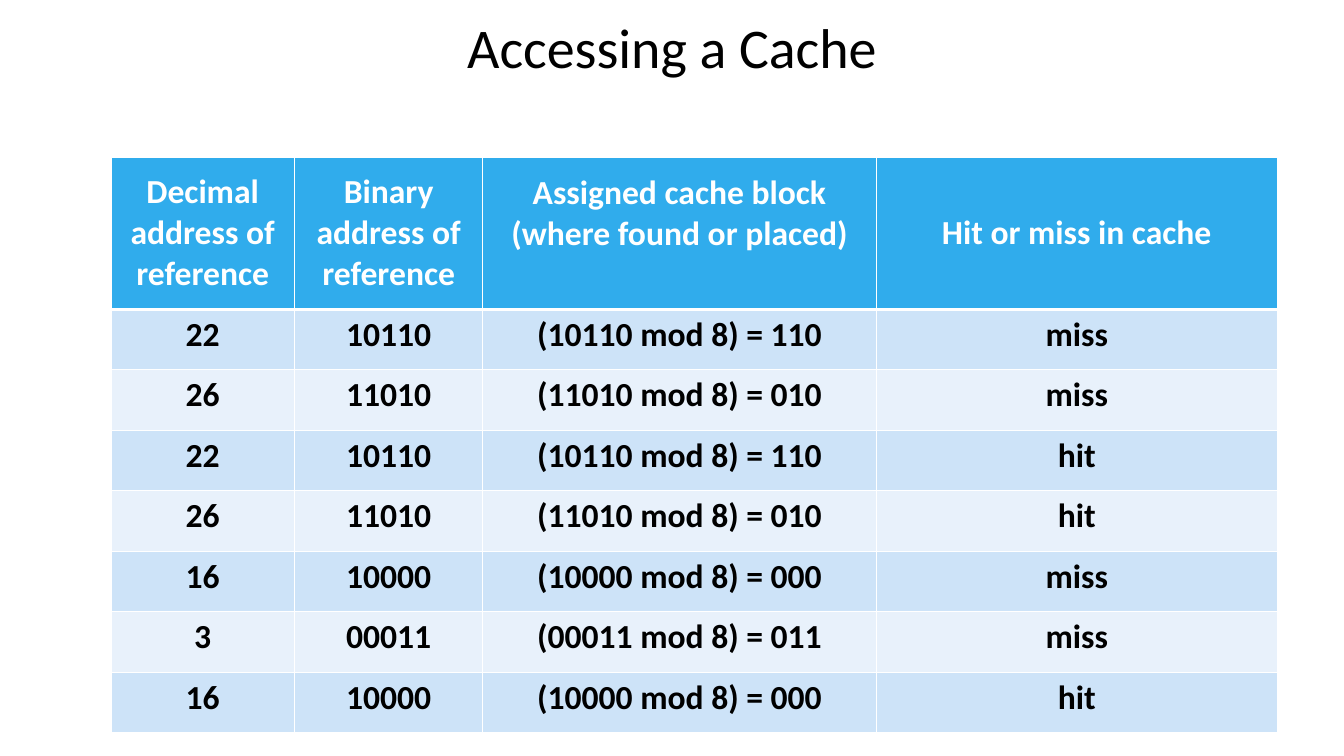
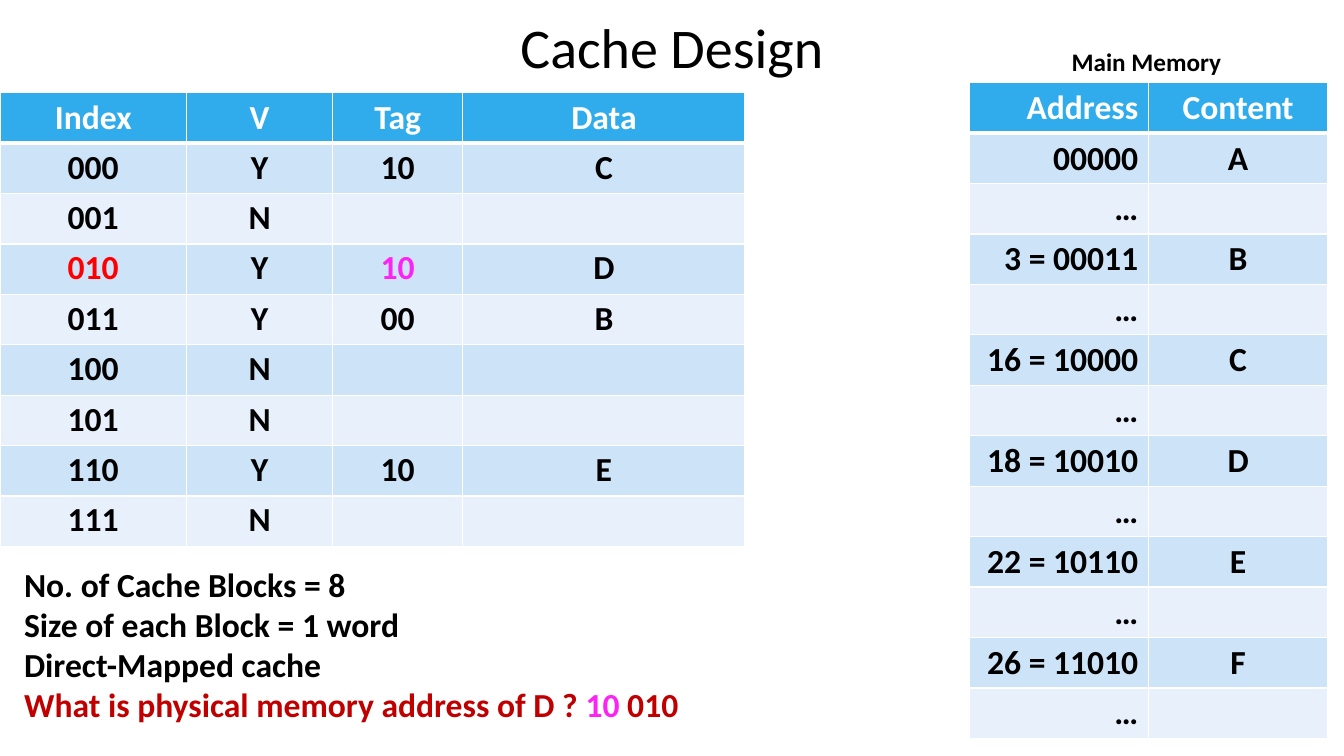
from dataclasses import dataclass

from lxml import etree
from pptx import Presentation
from pptx.dml.color import RGBColor as RGB
from pptx.enum.text import MSO_ANCHOR as ANCHOR, PP_ALIGN as ALIGN
from pptx.oxml.ns import qn
from pptx.util import Inches, Pt


@dataclass(frozen=True)
class Theme:
    font: str = "Calibri"
    title_size: int = 40
    body_size: int = 24
    label_size: int = 18
    black: str = "000000"
    white: str = "FFFFFF"
    header: str = "30ACEC"
    bands: tuple = ("CDE3F8", "E8F1FB")
    red: str = "FF0000"
    dark_red: str = "C00000"
    magenta: str = "FC24F2"
    border: int = 1
    header_border: int = 3


T = Theme()


def add_text(slide, box, lines, size, align=ALIGN.LEFT, bold=True, wrap=True, anchor=ANCHOR.TOP):
    tf = slide.shapes.add_textbox(*map(Inches, box)).text_frame
    tf.word_wrap = wrap
    tf.vertical_anchor = anchor
    for i, line in enumerate(lines):
        p = tf.add_paragraph() if i else tf.paragraphs[0]
        p.alignment = align
        for text, color in line:
            r = p.add_run()
            r.text = text
            r.font.name, r.font.size, r.font.bold = T.font, Pt(size), bold
            r.font.color.rgb = RGB.from_string(color)


def add_grid(slide, left, top, widths, heights, rows, accents={}, aligns={}, margin=0.05):
    box = map(Inches, (left, top, sum(widths), sum(heights)))
    table = slide.shapes.add_table(len(rows), len(widths), *box).table
    for column, width in zip(table.columns, widths):
        column.width = Inches(width)
    for i, (row, height) in enumerate(zip(rows, heights)):
        table.rows[i].height = Inches(height)
        for j, text in enumerate(row):
            cell = table.cell(i, j)
            cell.margin_top = cell.margin_bottom = Inches(margin)
            cell.vertical_anchor = ANCHOR.TOP if i else ANCHOR.MIDDLE
            tcPr = cell._tc.get_or_add_tcPr()
            for side in ("lnL", "lnR", "lnT", "lnB"):
                thick = (i, side) in ((0, "lnB"), (1, "lnT"))
                width = Pt(T.header_border if thick else T.border)
                ln = etree.SubElement(tcPr, qn(f"a:{side}"), w=str(width))
                fill = etree.SubElement(ln, qn("a:solidFill"))
                etree.SubElement(fill, qn("a:srgbClr"), val=T.white)
            cell.fill.solid()
            cell.fill.fore_color.rgb = RGB.from_string(T.bands[(i - 1) % 2] if i else T.header)
            cell.text_frame.text = text
            p = cell.text_frame.paragraphs[0]
            p.alignment = aligns.get(j, ALIGN.CENTER)
            color = accents.get((i, j), T.black if i else T.white)
            for r in p.runs:
                r.font.name, r.font.size, r.font.bold = T.font, Pt(T.body_size), True
                r.font.color.rgb = RGB.from_string(color)
    return table


prs = Presentation()
prs.slide_width, prs.slide_height = Inches(13.33), Inches(7.5)

slides = []
for title in ("Accessing a Cache", "Cache Design"):
    s = prs.slides.add_slide(prs.slide_layouts[6])
    add_text(s, (0, 0, 13.33, 0.92), [[(title, T.black)]], T.title_size,
             ALIGN.CENTER, bold=False, anchor=ANCHOR.MIDDLE)
    slides.append(s)
access, design = slides

references = [(22, "miss"), (26, "miss"), (22, "hit"), (26, "hit"),
              (16, "miss"), (3, "miss"), (16, "hit")]
access_rows = [("Decimal address of reference", "Binary address of reference",
                "Assigned cache block (where found or placed)", "Hit or miss in cache")]
for address, result in references:
    block = f"({address:05b} mod 8) = {address % 8:03b}"
    access_rows.append((str(address), f"{address:05b}", block, result))
table = add_grid(access, 1.1, 1.56, (1.82, 1.87, 3.9, 3.98),
                 [1.51] + [0.6] * len(references), access_rows)
block_header = table.cell(0, 2)
block_header.vertical_anchor = ANCHOR.TOP
block_header.margin_top = Inches(0.15)

memory_rows = [("Address", "Content")]
for address, content in zip((0, 3, 16, 18, 22, 26), "ABCDEF"):
    prefix = f"{address} = " if address else ""
    memory_rows += [(f"{prefix}{address:05b}", content), ("…", "")]
add_grid(design, 9.61, 0.82, (1.78, 1.78), [0.5] * len(memory_rows), memory_rows,
         aligns={0: ALIGN.RIGHT})
add_text(design, (10.53, 0.41, 1.71, 0.4), [[("Main Memory", T.black)]], T.label_size, wrap=False)

cached = {0: ("10", "C"), 2: ("10", "D"), 3: ("00", "B"), 6: ("10", "E")}
cache_rows = [("Index", "V", "Tag", "Data")]
for index in range(8):
    valid = "Y" if index in cached else "N"
    cache_rows.append((f"{index:03b}", valid, *cached.get(index, ("", ""))))
add_grid(design, 0, 0.92, (1.85, 1.45, 1.29, 2.8), [0.5] * len(cache_rows), cache_rows,
         accents={(3, 0): T.red, (3, 2): T.magenta}, margin=0.04)

facts = [
    [("No. of Cache Blocks = 8", T.black)],
    [("Size of each Block = 1 word", T.black)],
    [("Direct-Mapped cache", T.black)],
    [("What is physical memory address of D ? ", T.dark_red), ("10", T.magenta), (" 010", T.dark_red)],
]
add_text(design, (0.14, 5.54, 8.02, 1.72), facts, T.body_size, ALIGN.JUSTIFY)

prs.save("out.pptx")
